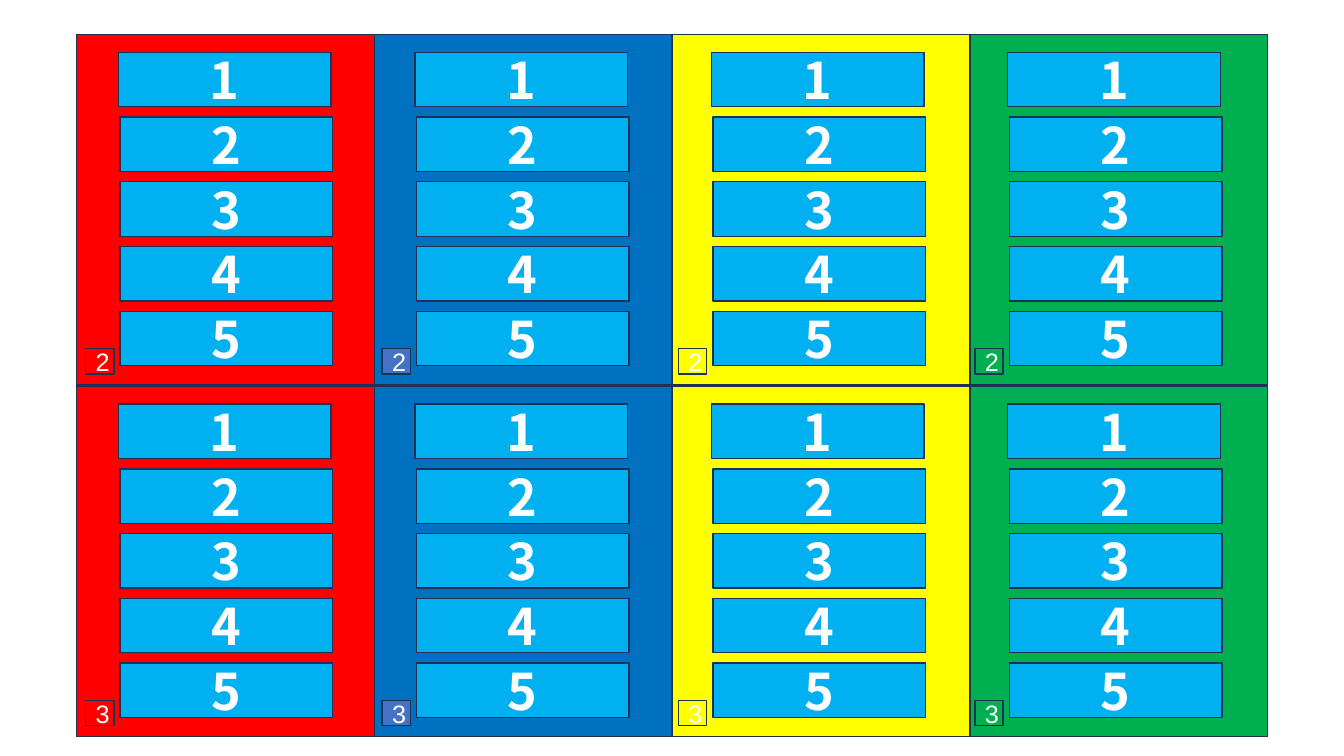
from pptx import Presentation
from pptx.dml.color import RGBColor
from pptx.enum import shapes, text
from pptx.util import Inches, Pt

# Content: panel and badge colours by column, badge text and top by row
COLUMNS = [("FF0000", "FF0000"), ("0070C0", "4472C4"),
           ("FFFF00", "FFFF00"), ("00B050", "00B050")]
ROWS = [("3", 3.83), ("2", 0.34)]
ANSWERS = ["1", "2", "3", "4", "5"]
ANSWER_FILL, OUTLINE, WHITE = "00B0F0", "1E3256", "FFFFFF"

# Layout in inches
PANEL_LEFT, PANEL_W, PANEL_H = 0.76, 2.953, 3.48
CONTENT_STEP = 2.94
ANSWER_LEFT, ANSWER_W, ANSWER_H = 1.19, 2.11, 0.54
ANSWER_TOP, ANSWER_STEP = 0.18, 0.642
FIRST_SHIFT = -0.015
BADGE_LEFT, BADGE_TOP, BADGE_W, BADGE_H = 0.85, 3.12, 0.28, 0.25


def color(value):
    return RGBColor.from_string(value)


def add_text(sp, value, *, size, font, bold=False):
    tf = sp.text_frame
    tf.vertical_anchor = text.MSO_ANCHOR.MIDDLE
    p = tf.paragraphs[0]
    p.alignment = text.PP_ALIGN.CENTER
    r = p.add_run()
    r.text = value
    r.font.size, r.font.name, r.font.bold = Pt(size), font, bold
    r.font.color.rgb = color(WHITE)


def add_box(s, left, top, width, height, fill):
    sp = s.shapes.add_shape(shapes.MSO_SHAPE.RECTANGLE, Inches(left),
                            Inches(top), Inches(width), Inches(height))
    sp.shadow.inherit = False
    sp.fill.solid()
    sp.fill.fore_color.rgb = color(fill)
    sp.line.color.rgb = color(OUTLINE)
    sp.line.width = Pt(1)
    return sp


def main():
    prs = Presentation()
    prs.slide_width, prs.slide_height = Inches(13.33), Inches(7.5)
    s = prs.slides.add_slide(prs.slide_layouts[6])

    for badge, top in ROWS:
        for col, (panel_fill, badge_fill) in enumerate(COLUMNS):
            # Coloured panel
            add_box(s, PANEL_LEFT + col * PANEL_W, top,
                    PANEL_W, PANEL_H, panel_fill)
            shift = col * CONTENT_STEP

            # Answers, the first one slightly to the left
            for i, answer in enumerate(ANSWERS):
                left = ANSWER_LEFT + shift + (FIRST_SHIFT if i == 0 else 0)
                sp = add_box(s, left, top + ANSWER_TOP + i * ANSWER_STEP,
                             ANSWER_W, ANSWER_H, ANSWER_FILL)
                add_text(sp, answer, size=36, font="Noto Sans CJK KR", bold=True)

            # Numbered badge
            sp = add_box(s, BADGE_LEFT + shift, top + BADGE_TOP,
                         BADGE_W, BADGE_H, badge_fill)
            add_text(sp, badge, size=18, font="Arial")

    prs.save("out.pptx")


if __name__ == "__main__":
    main()
